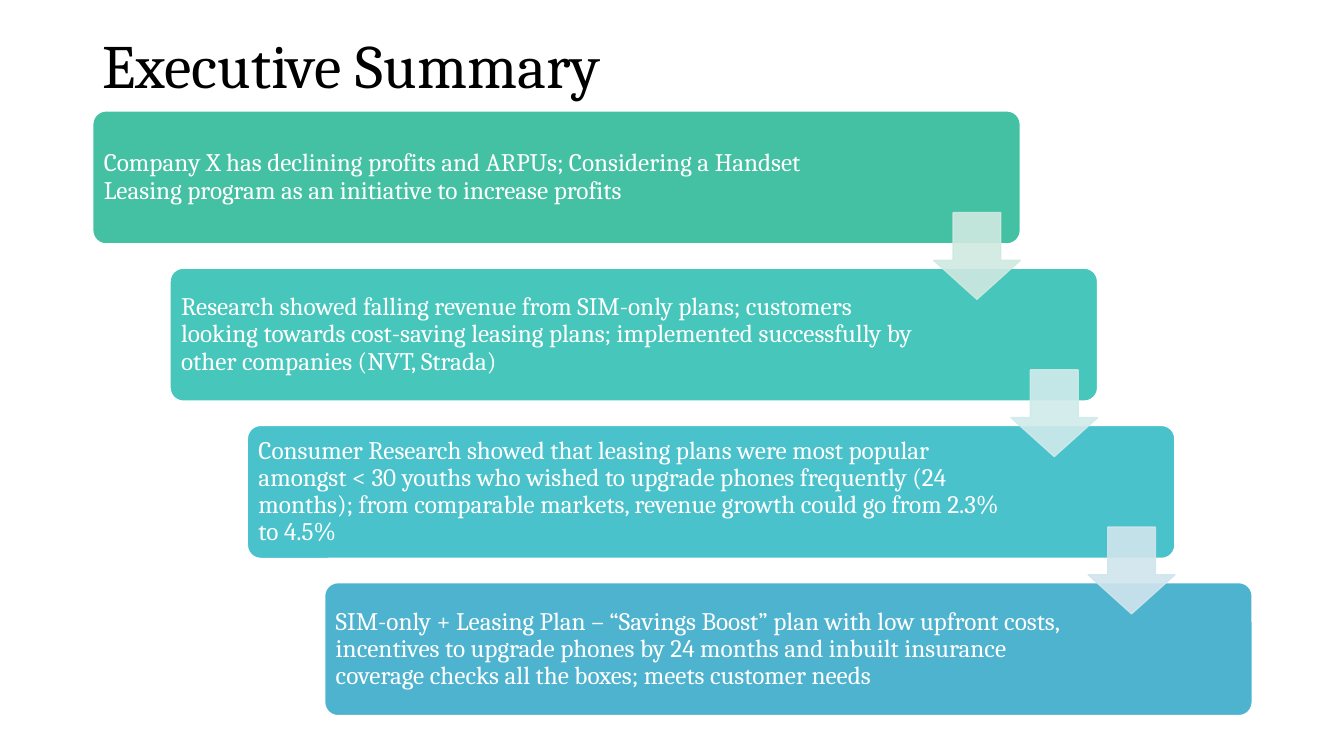
import pptx
import pptx.util
import pptx.dml.color
import pptx.enum.shapes
import pptx.enum.text
import pptx.oxml.ns
from lxml import etree

Inches = pptx.util.Inches
Pt = pptx.util.Pt
SHAPE = pptx.enum.shapes.MSO_SHAPE

STEPS = [
    ("Company X has declining profits and ARPUs; Considering a Handset Leasing "
     "program as an initiative to increase profits", "44C1A3", 7.66),
    ("Research showed falling revenue from SIM-only plans; customers looking towards "
     "cost-saving leasing plans; implemented successfully by other companies "
     "(NVT, Strada)", "47C6BB", 7.49),
    ("Consumer Research showed that leasing plans were most popular amongst < 30 youths "
     "who wished to upgrade phones frequently (24 months); from comparable markets, "
     "revenue growth could go from 2.3% to 4.5%", "4AC2CB", 7.51),
    ("SIM-only + Leasing Plan – “Savings Boost” plan with low upfront costs, incentives "
     "to upgrade phones by 24 months and inbuilt insurance coverage checks all the "
     "boxes; meets customer needs", "4EB3CF", 7.49),
]
ARROW_COLORS = ["CFE9E0", "D0EBEB", "D0E5ED"]


def rgb(value):
    return pptx.dml.color.RGBColor.from_string(value)


def add_text(s, box, text, size, color, inset_x, inset_y, space_after=0):
    tf = s.shapes.add_textbox(*map(Inches, box)).text_frame
    tf.word_wrap = True
    tf.vertical_anchor = pptx.enum.text.MSO_ANCHOR.MIDDLE
    tf.margin_left = tf.margin_right = Inches(inset_x)
    tf.margin_top = tf.margin_bottom = Inches(inset_y)
    p = tf.paragraphs[0]
    p.line_spacing = 0.9
    p.space_after = Pt(space_after)
    r = p.add_run()
    r.text = text
    r.font.name = "Cambria"
    r.font.size = Pt(size)
    r.font.color.rgb = rgb(color)


def add_block(s, kind, box, adjustments, fill, line, alpha=100):
    sp = s.shapes.add_shape(kind, *map(Inches, box))
    sp.shadow.inherit = False
    for i, value in enumerate(adjustments):
        sp.adjustments[i] = value
    sp.fill.solid()
    sp.fill.fore_color.rgb = rgb(fill)
    sp.line.color.rgb = rgb(line)
    sp.line.width = Pt(1)
    if alpha < 100:
        qn = pptx.oxml.ns.qn
        for clr in sp.element.spPr.iter(qn("a:srgbClr")):
            etree.SubElement(clr, qn("a:alpha")).set("val", str(alpha * 1000))


def add_title(s, box):
    add_text(s, box, "Executive Summary", 44, "000000", 0.1, 0.05)


def add_staircase(s, box):
    left, top, width, height = box
    step_w, step_h, arrow, pad = 9.2, 1.32, 0.86, 0.04
    dx = (width - step_w) / (len(STEPS) - 1)
    dy = (height - step_h) / (len(STEPS) - 1)
    for i, (text, color, text_w) in enumerate(STEPS):
        x, y = left + i * dx, top + i * dy
        add_block(s, SHAPE.ROUNDED_RECTANGLE, (x, y, step_w, step_h), [0.1], color, "FFFFFF")
        add_text(s, (x + pad, y + pad, text_w, step_h - 2 * pad), text, 18, "FFFFFF",
                 0.07, 0.07, 6.3)
    for i, color in enumerate(ARROW_COLORS):
        x = left + i * dx + step_w - arrow
        y = top + i * dy + 1.01
        add_block(s, SHAPE.DOWN_ARROW, (x, y, arrow, arrow), [0.55, 0.45], color, color, 90)


prs = pptx.Presentation()
prs.slide_width = Inches(13.33)
prs.slide_height = Inches(7.5)
s = prs.slides.add_slide(prs.slide_layouts[6])
add_title(s, (0.92, 0.27, 11.5, 0.83))
add_staircase(s, (0.92, 1.1, 11.5, 6))
prs.save("out.pptx")
